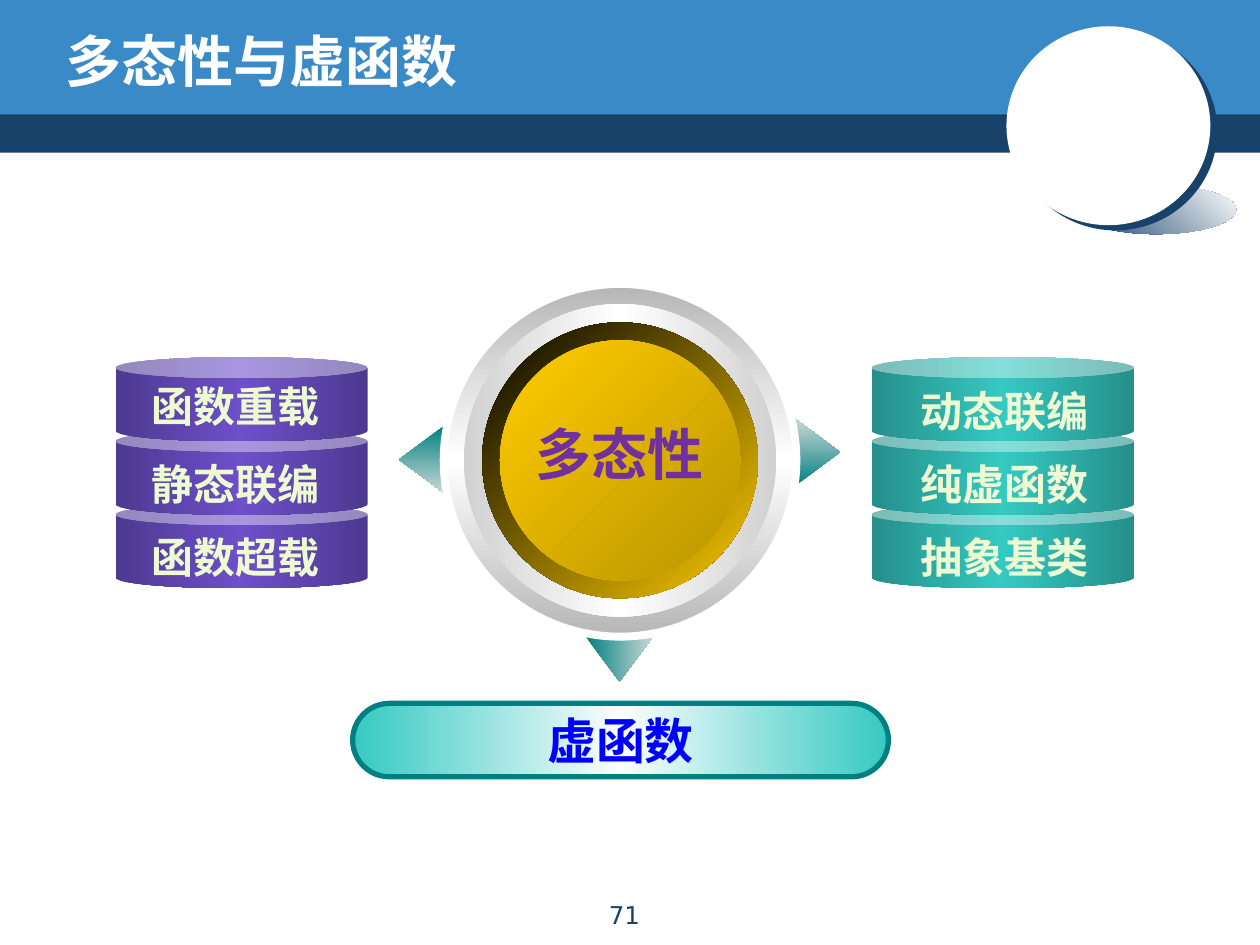
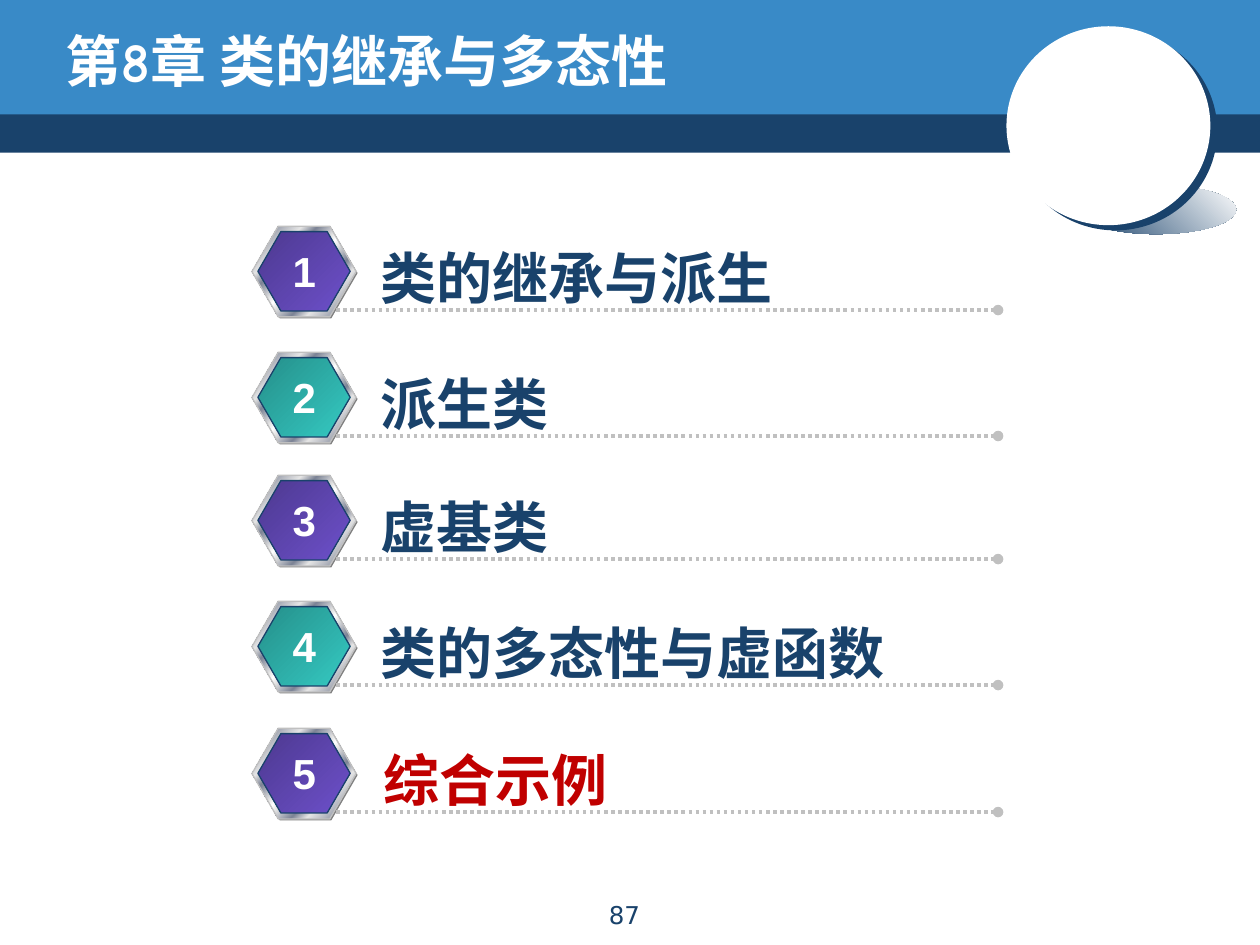
"""Build two slides on polymorphism: a hub diagram and a chapter agenda."""
import lxml.etree
import pptx
import pptx.dml.color
import pptx.enum.dml
import pptx.enum.shapes
import pptx.enum.text
import pptx.oxml.ns
import pptx.util

Cm = pptx.util.Cm
Pt = pptx.util.Pt
SHAPE = pptx.enum.shapes.MSO_SHAPE
ALIGN = pptx.enum.text.PP_ALIGN
ANCHOR = pptx.enum.text.MSO_ANCHOR
qn = pptx.oxml.ns.qn

COLORS = {
    "navy": "19426B", "blue": "398AC7", "white": "FFFFFF", "black": "000000",
    "purple": "6D50CA", "turquoise": "35C9C2", "teal": "008080",
    "gold": "FFCC00", "violet": "7030A0", "link": "0000FF", "cream": "EDFAD2",
    "red": "C00000", "gray": "808080", "silver": "C0C0C0", "steel": "7D8496",
    "light": "E6E6E6", "mint": "FCFEFD",
}
CJK = "Noto Sans CJK SC"
TITLE_FONT = "Comic Neue"
LABEL_FONT = "Arial"
NUMBER_FONT = "DejaVu Sans"
DARKER = ("shade", 46.3)
METAL = [(0, "light"), (7, "steel"), (26, "light"), (34, "steel"), (46, "light"),
         (50, "white"), (54, "light"), (66, "steel"), (74, "light"),
         (93, "steel"), (100, "light")]


def rgb(name):
    """Return the palette colour as an RGBColor."""
    return pptx.dml.color.RGBColor.from_string(COLORS[name])


def add_child(parent, tag, **attributes):
    """Append a DrawingML element with the given attributes."""
    return lxml.etree.SubElement(
        parent, qn(tag), {key: str(value) for key, value in attributes.items()})


def mirrored(color, middle):
    """Return stops that run from darkened colour to middle and back."""
    return [(0, color, DARKER), (50, middle), (100, color, DARKER)]


def fill_gradient(shape, stops, angle):
    """Fill with stops of (percent, colour[, (modifier, percent)])."""
    shape.fill.gradient()
    gradient = shape.element.spPr.find(qn("a:gradFill"))
    gradient.clear()
    gradient.set("rotWithShape", "1")
    stop_list = add_child(gradient, "a:gsLst")
    for percent, color, *modifiers in stops:
        stop = add_child(stop_list, "a:gs", pos=percent * 1000)
        color_element = add_child(stop, "a:srgbClr", val=COLORS[color])
        for modifier, amount in modifiers:
            add_child(color_element, "a:" + modifier, val=round(amount * 1000))
    add_child(gradient, "a:lin", ang=angle * 60000, scaled=0)


def add_shape(shapes, kind, box, fill, angle=0, line=None, adjustments=()):
    """Add a preset shape; fill is a colour name or a list of stops."""
    shape = shapes.add_shape(kind, *(Cm(value) for value in box))
    shape.shadow.inherit = False
    for index, value in enumerate(adjustments):
        shape.adjustments[index] = value
    if isinstance(fill, str):
        shape.fill.solid()
        shape.fill.fore_color.rgb = rgb(fill)
    else:
        fill_gradient(shape, fill, angle)
    if line:
        color, width = line
        shape.line.color.rgb = rgb(color)
        shape.line.width = Pt(width)
    else:
        shape.line.fill.background()
    return shape


def write(shape, text, size, font, color, bold=True, align=ALIGN.CENTER):
    """Put one formatted run into the shape."""
    paragraph = shape.text_frame.paragraphs[0]
    paragraph.alignment = align
    run = paragraph.add_run()
    run.text = text
    run.font.size = Pt(size)
    run.font.bold = bold
    run.font.name = font
    run.font.color.rgb = rgb(color)
    add_child(run.font._element, "a:ea", typeface=CJK)


def add_label(slide, box, text, size, font, color, align=ALIGN.CENTER):
    """Add a bold one-line text box that does not wrap."""
    label = slide.shapes.add_textbox(*(Cm(value) for value in box))
    label.text_frame.word_wrap = False
    label.text_frame.auto_size = pptx.enum.text.MSO_AUTO_SIZE.SHAPE_TO_FIT_TEXT
    write(label, text, size, font, color, align=align)


def decorate_layout(layout, slide):
    """Draw the header bands and disc, then hand them to the layout."""
    shapes = slide.shapes
    dark_band = add_shape(shapes, SHAPE.RECTANGLE, (0, 2.21, 25.4, 0.87), "navy")
    light_band = add_shape(shapes, SHAPE.RECTANGLE, (0, 0, 25.4, 2.31), "blue")
    disc_shade = add_shape(shapes, SHAPE.OVAL, (21.69, 3.73, 3.23, 0.99),
                           [(0, "navy"), (100, "white")], 315)
    disc = add_shape(shapes, SHAPE.OVAL, (20.29, 0.53, 4.11, 4.01), "white")
    effects = disc.element.spPr.find(qn("a:effectLst"))
    shadow = add_child(effects, "a:outerShdw", blurRad=0, dist=int(Pt(5)),
                       dir=37 * 60000, algn="ctr", rotWithShape=0)
    add_child(shadow, "a:srgbClr", val=COLORS["navy"])
    for index, shape in enumerate((dark_band, light_band, disc_shade, disc)):
        shape.element.nvSpPr.cNvPr.set("id", str(101 + index))
        layout.shapes.element.insert(2 + index, shape.element)


def add_title(slide, text):
    """Place and fill the title placeholder."""
    title = slide.shapes.title
    title.left, title.top, title.width, title.height = (
        Cm(value) for value in (1.07, 0.43, 20.52, 1.57))
    title.text_frame.vertical_anchor = ANCHOR.MIDDLE
    title.text_frame.auto_size = pptx.enum.text.MSO_AUTO_SIZE.NONE
    write(title, text, 32, TITLE_FONT, "white", align=ALIGN.LEFT)


def add_page_number(slide, number):
    """Add the page number at the bottom centre."""
    box = slide.shapes.add_textbox(Cm(10.29), Cm(18.01), Cm(4.6), Cm(0.81))
    box.text_frame.word_wrap = True
    write(box, str(number), 14, NUMBER_FONT, "navy", bold=False)


def add_hub(slide):
    """Draw three pointers and the nested rings in the centre."""
    shapes = slide.shapes.add_group_shape().shapes
    for left, top, rotation in ((7.82, 8.81, 270), (15.8, 8.66, 90),
                                (11.81, 12.83, 180)):
        pointer = add_shape(shapes, SHAPE.UP_ARROW, (left, top, 1.36, 0.91),
                            [(0, "teal"), (100, "teal", ("tint", 39.2))],
                            adjustments=(0.52, 1))
        pointer.rotation = rotation
        pointer.element.spPr.find(qn("a:xfrm")).set("flipH", "1")
    pale_ring = [(0, "white", ("shade", 63.5)), (50, "white"),
                 (100, "white", ("shade", 63.5))]
    center_x, center_y = 12.5, 9.28
    rings = (
        (7.11, mirrored("white", "white"), 90, ("white", 4.5)),
        (6.3, pale_ring, 0, None),
        (5.56, [(0, "black"), (100, "gold")], 45, None),
        (4.84, [(0, "gold"), (100, "gold", ("shade", 48.6))], 45, None),
    )
    for size, stops, angle, line in rings:
        box = (center_x - size / 2, center_y - size / 2, size, size)
        add_shape(shapes, SHAPE.OVAL, box, stops, angle, line)


def add_can_stack(slide, left, width, color, text_left, rows):
    """Stack labelled cans from the bottom up; rows are (text top, text)."""
    for index in reversed(range(len(rows))):
        add_shape(slide.shapes, SHAPE.CAN, (left, 7.2 + 1.48 * index, width, 1.7),
                  mirrored(color, color), adjustments=(0.25,))
    for top, text in rows:
        add_label(slide, (text_left, top, 3.96, 1.27), text, 24, CJK, "cream")


def build_hub_slide(slide):
    """Build the polymorphism diagram."""
    add_title(slide, "多态性与虚函数")
    add_hub(slide)
    add_can_stack(slide, 2.33, 5.08, "purple", 2.77,
                  ((7.54, "函数重载"), (9.12, "静态联编"), (10.6, "函数超载")))
    add_can_stack(slide, 17.57, 5.29, "turquoise", 18.27,
                  ((7.64, "动态联编"), (9.12, "纯虚函数"), (10.6, "抽象基类")))
    add_label(slide, (10.52, 8.33, 3.94, 1.62), "多态性", 32, CJK, "violet")
    pill = add_shape(slide.shapes, SHAPE.ROUNDED_RECTANGLE, (7.11, 14.18, 10.8, 1.48),
                     [(0, "turquoise"), (50, "mint"), (100, "turquoise")],
                     line=("teal", 3), adjustments=(0.5,))
    pill.text_frame.word_wrap = False
    pill.text_frame.vertical_anchor = ANCHOR.MIDDLE
    write(pill, "虚函数", 28, CJK, "link")
    add_page_number(slide, 71)


def add_badge(slide, top, color):
    """Draw a metal-framed hexagon with a drop edge."""
    shapes = slide.shapes.add_group_shape().shapes
    fill = [(0, color, DARKER), (100, color)]
    for box, stops, line in (
            ((5.11, top + 0.03, 2.1, 1.83), "gray", None),
            ((5.08, top, 2.1, 1.83), METAL, ("silver", 0.75)),
            ((5.2, top + 0.11, 1.86, 1.6), fill, ("navy", 0.75))):
        add_shape(shapes, SHAPE.HEXAGON, box, stops, 45, line, (0.29,))


def add_dotted_line(slide, top):
    """Draw a dotted rule that ends in a dot."""
    connector = slide.shapes.add_connector(
        pptx.enum.shapes.MSO_CONNECTOR.STRAIGHT,
        Cm(6.78), Cm(top), Cm(20.12), Cm(top))
    connector.line.color.rgb = rgb("silver")
    connector.line.width = Pt(2)
    connector.line.dash_style = pptx.enum.dml.MSO_LINE.ROUND_DOT
    add_child(connector.line._get_or_add_ln(), "a:tailEnd", type="oval")
    add_child(connector.element.spPr, "a:effectLst")


def build_agenda_slide(slide):
    """Build the numbered chapter agenda."""
    add_title(slide, "第8章 类的继承与多态性")
    # badge top, text left, text width, colour, text
    items = (
        (4.56, 7.42, 8.53, "navy", "类的继承与派生"),
        (7.1, 7.42, 3.94, "navy", "派生类"),
        (9.58, 7.42, 3.94, "navy", "虚基类"),
        (12.12, 7.42, 10.82, "navy", "类的多态性与虚函数"),
        (14.68, 7.49, 5.08, "red", "综合示例"),
    )
    for number, (top, left, width, color, text) in enumerate(items, start=1):
        add_badge(slide, top, "purple" if number % 2 else "turquoise")
        add_dotted_line(slide, top + 1.69)
        add_label(slide, (left, top + 0.22, width, 1.62), text, 32,
                  LABEL_FONT, color, ALIGN.LEFT)
        add_label(slide, (5.64, top + 0.27, 0.99, 1.27), str(number), 24,
                  LABEL_FONT, "white")
    add_page_number(slide, 87)


def main():
    """Create the presentation and save it."""
    presentation = pptx.Presentation()
    presentation.slide_width = Cm(25.4)
    presentation.slide_height = Cm(19.05)
    layout = presentation.slide_layouts.get_by_name("Title Only")
    hub_slide = presentation.slides.add_slide(layout)
    agenda_slide = presentation.slides.add_slide(layout)
    decorate_layout(layout, hub_slide)
    build_hub_slide(hub_slide)
    build_agenda_slide(agenda_slide)
    presentation.save("out.pptx")


main()
